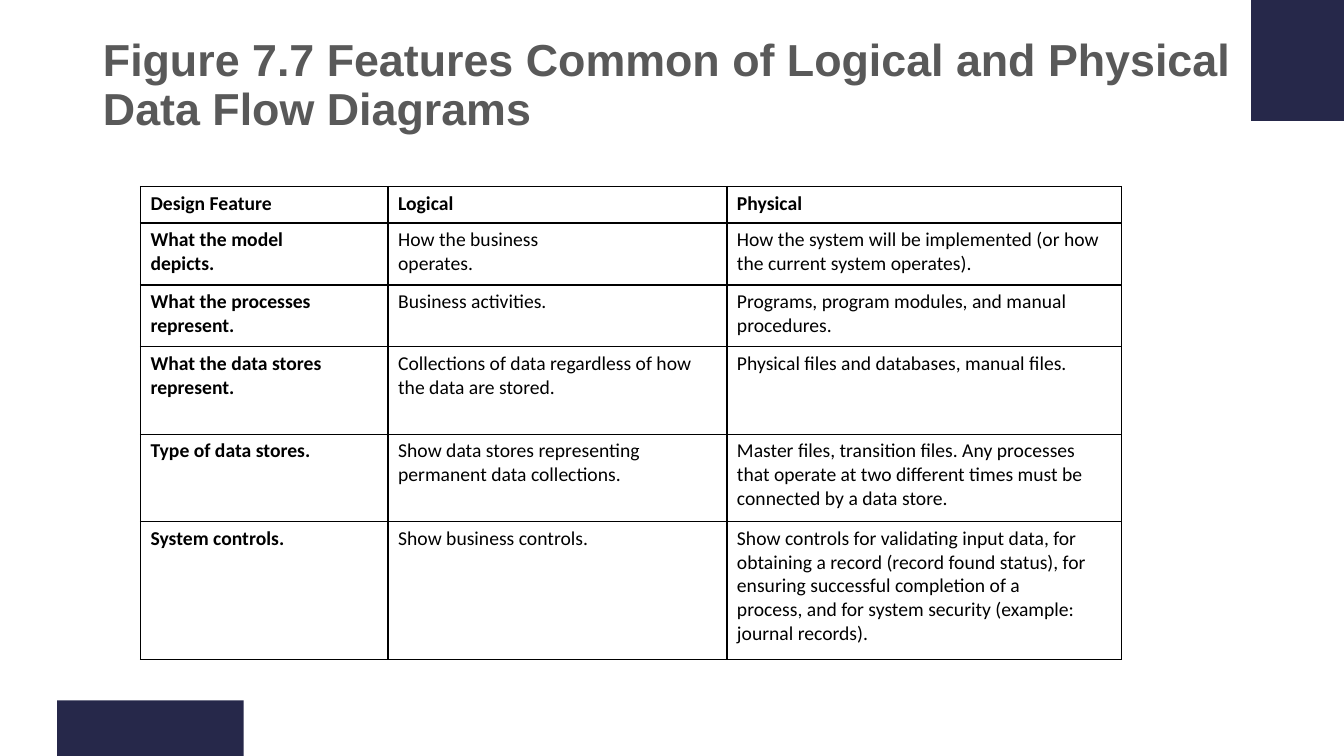
from pptx import Presentation
from pptx.dml.color import RGBColor
from pptx.enum.shapes import MSO_SHAPE as Shape
from pptx.enum.text import MSO_ANCHOR as Anchor, MSO_AUTO_SIZE as AutoSize, PP_ALIGN as Align
from pptx.oxml import parse_xml
from pptx.oxml.ns import nsdecls
from pptx.util import Cm, Pt

COLORS = {"accent": "26284A", "title": "595959", "ink": "000000", "paper": "FFFFFF"}

TITLE = "Figure 7.7 Features Common of Logical and Physical Data Flow Diagrams"
FEATURES = [
    ("Design Feature", "Logical", "Physical"),
    ("What the model\ndepicts.", "How the business\noperates.",
     "How the system will be implemented (or how the current system operates)."),
    ("What the processes\nrepresent.", "Business activities.",
     "Programs, program modules, and manual procedures."),
    ("What the data stores\nrepresent.",
     "Collections of data regardless of how the data are stored.",
     "Physical files and databases, manual files."),
    ("Type of data stores.",
     "Show data stores representing permanent data collections.",
     "Master files, transition files. Any processes that operate at two different "
     "times must be connected by a data store."),
    ("System controls.", "Show business controls.",
     "Show controls for validating input data, for obtaining a record (record found "
     "status), for ensuring successful completion of a\n"
     "process, and for system security (example: journal records)."),
]
COLUMN_WIDTHS = [6.24, 8.54, 9.95]
ROW_HEIGHTS = [0.92, 1.56, 1.56, 2.2, 2.2, 3.48]


def color(name):
    return RGBColor.from_string(COLORS[name])


def style_text(frame, font, size, ink, bold):
    for para in frame.paragraphs:
        para.alignment = Align.LEFT
        for span in para.runs:
            span.font.name = font
            span.font.size = Pt(size)
            span.font.bold = bold
            span.font.color.rgb = color(ink)


def add_block(page, left, top, width, height):
    block = page.shapes.add_shape(Shape.RECTANGLE, Cm(left), Cm(top), Cm(width), Cm(height))
    block.shadow.inherit = False
    block.fill.solid()
    block.fill.fore_color.rgb = color("accent")
    block.line.fill.background()


def place_title(page, left, top, width, height):
    title = page.shapes.title
    title.left, title.top, title.width, title.height = Cm(left), Cm(top), Cm(width), Cm(height)
    frame = title.text_frame
    frame.text = TITLE
    frame.word_wrap = True
    frame.auto_size = AutoSize.NONE
    frame.vertical_anchor = Anchor.MIDDLE
    frame.paragraphs[0].line_spacing = 0.9
    style_text(frame, "Arial", 32, "title", True)


def add_borders(cell):
    properties = cell._tc.get_or_add_tcPr()
    for side in ("lnL", "lnR", "lnT", "lnB"):
        properties.append(parse_xml(
            f'<a:{side} {nsdecls("a")} w="{Pt(1)}"><a:solidFill>'
            f'<a:srgbClr val="{COLORS["ink"]}"/></a:solidFill></a:{side}>'))


def add_feature_table(page, left, top):
    box = page.shapes.add_table(
        len(FEATURES), len(COLUMN_WIDTHS), Cm(left), Cm(top),
        Cm(sum(COLUMN_WIDTHS)), Cm(sum(ROW_HEIGHTS)))
    table = box.table
    table.first_row = table.horz_banding = False
    for column, width in zip(table.columns, COLUMN_WIDTHS):
        column.width = Cm(width)
    for row, height, texts in zip(table.rows, ROW_HEIGHTS, FEATURES):
        row.height = Cm(height)
        for index, (cell, text) in enumerate(zip(row.cells, texts)):
            cell.text_frame.text = text
            cell.vertical_anchor = Anchor.TOP
            style_text(cell.text_frame, "Calibri", 14, "ink", index == 0 or texts is FEATURES[0])
            add_borders(cell)
            cell.fill.solid()
            cell.fill.fore_color.rgb = color("paper")


def main():
    deck = Presentation()
    deck.slide_width, deck.slide_height = Cm(33.87), Cm(19.05)
    page = deck.slides.add_slide(deck.slide_layouts[5])
    add_block(page, 31.53, 0, 2.34, 3.05)
    add_block(page, 1.44, 17.65, 4.7, 1.4)
    place_title(page, 2.34, 1.02, 29.21, 2.31)
    add_feature_table(page, 3.54, 4.7)
    deck.save("out.pptx")


if __name__ == "__main__":
    main()
